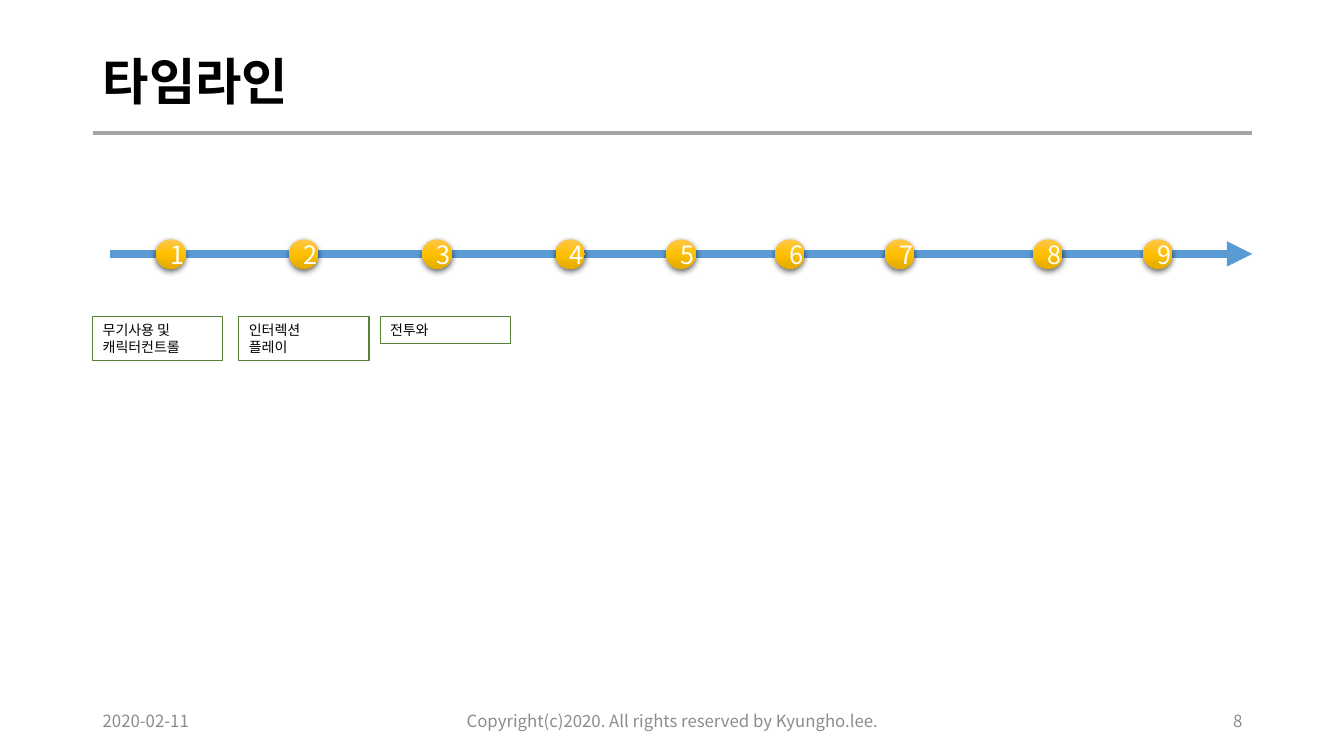
from lxml import etree
from pptx import Presentation
from pptx.dml.color import RGBColor
from pptx.enum.dml import MSO_FILL
from pptx.enum.shapes import MSO_CONNECTOR, MSO_SHAPE
from pptx.enum.text import MSO_ANCHOR, MSO_AUTO_SIZE, PP_ALIGN
from pptx.oxml.ns import qn
from pptx.util import Inches, Pt

LEFT, CENTER, RIGHT = PP_ALIGN.LEFT, PP_ALIGN.CENTER, PP_ALIGN.RIGHT
TOP, MIDDLE = MSO_ANCHOR.TOP, MSO_ANCHOR.MIDDLE
STRAIGHT = MSO_CONNECTOR.STRAIGHT
FONT = "Noto Sans CJK KR"

BLACK = RGBColor(0x00, 0x00, 0x00)
WHITE = RGBColor(0xFF, 0xFF, 0xFF)
FOOTER_GRAY = RGBColor(0x8C, 0x8C, 0x8C)
RULE_GRAY = RGBColor(0xA5, 0xA5, 0xA5)
ARROW_BLUE = RGBColor(0x5B, 0x9B, 0xD5)
BOX_GREEN = RGBColor(0x54, 0x82, 0x35)
GOLD_STOPS = [
    (0, RGBColor(0xFF, 0xC6, 0x4B)),
    (50, RGBColor(0xFF, 0xC0, 0x00)),
    (100, RGBColor(0xE3, 0xAB, 0x00)),
]

TITLE = "타임라인"
MARGIN_LEFT, MARGIN_RIGHT = 0.92, 12.42
TIMELINE_Y = 2.52
MARKER_SIZE = 0.29
MARKER_LEFTS = [1.55, 2.87, 4.19, 5.51, 6.61, 7.69, 8.78, 10.25, 11.34]
STAGE_TOP, STAGE_WIDTH = 3.14, 1.29
STAGES = [  # left, height, paragraphs
    (0.92, 0.44, ["무기사용 및 캐릭터컨트롤"]),
    (2.37, 0.44, ["인터렉션", "플레이"]),
    (3.77, 0.27, ["전투와"]),
]
FOOTERS = [  # left, width, text, alignment
    (0.92, 3, "2020-02-11", LEFT),
    (4.42, 4.5, "Copyright(c)2020. All rights reserved by Kyungho.lee.", CENTER),
    (9.42, 3, "8", RIGHT),
]


def write_text(shape, lines, size, color, align=LEFT, anchor=MIDDLE,
               bold=False, spacing=None):
    frame = shape.text_frame
    frame.word_wrap = True
    frame.vertical_anchor = anchor
    for index, line in enumerate(lines):
        para = frame.add_paragraph() if index else frame.paragraphs[0]
        para.alignment = align
        if spacing:
            para.line_spacing = spacing
        span = para.add_run()
        span.text = line
        span.font.name = FONT
        span.font.size = Pt(size)
        span.font.bold = bold
        span.font.color.rgb = color
        etree.SubElement(span.font._element, qn("a:ea"), typeface=FONT)


def add_line(page, left, y, color, width, arrow=False):
    line = page.shapes.add_connector(
        STRAIGHT, Inches(left), Inches(y), Inches(MARGIN_RIGHT), Inches(y))
    line.line.color.rgb = color
    line.line.width = Pt(width)
    if arrow:
        etree.SubElement(line.line._get_or_add_ln(), qn("a:tailEnd"), type="triangle")
    etree.SubElement(line._element.spPr, qn("a:effectLst"))


def add_color(parent, color):
    return etree.SubElement(parent, qn("a:srgbClr"), val=str(color))


def add_marker(page, left, number):
    marker = page.shapes.add_shape(
        MSO_SHAPE.OVAL, Inches(left), Inches(TIMELINE_Y - MARKER_SIZE / 2),
        Inches(MARKER_SIZE), Inches(MARKER_SIZE))
    marker.line.fill.background()
    marker.fill.gradient()
    marker.fill.gradient_angle = 270
    properties = marker._element.spPr
    stops = properties.find(".//" + qn("a:gsLst"))
    for stop in list(stops):
        stops.remove(stop)
    for percent, color in GOLD_STOPS:
        add_color(etree.SubElement(stops, qn("a:gs"), pos=str(percent * 1000)), color)

    marker.shadow.inherit = False
    shadow = etree.SubElement(
        properties.find(qn("a:effectLst")), qn("a:outerShdw"),
        blurRad=str(Pt(4.5)), dist=str(Pt(1.5)), dir="5400000",
        algn="ctr", rotWithShape="0")
    etree.SubElement(add_color(shadow, BLACK), qn("a:alpha"), val="63000")
    write_text(marker, [str(number)], 18, WHITE, align=CENTER)


def add_stage(page, left, height, lines):
    box = page.shapes.add_shape(
        MSO_SHAPE.RECTANGLE, Inches(left), Inches(STAGE_TOP),
        Inches(STAGE_WIDTH), Inches(height))
    box.shadow.inherit = False
    box.fill.background()
    box.line.color.rgb = BOX_GREEN
    box.line.width = Pt(0.75)
    write_text(box, lines, 10, BLACK, anchor=TOP)
    box.text_frame.auto_size = MSO_AUTO_SIZE.SHAPE_TO_FIT_TEXT


def main():
    deck = Presentation()
    deck.slide_width, deck.slide_height = Inches(13.33), Inches(7.5)
    page = deck.slides.add_slide(deck.slide_layouts[5])

    title = page.shapes.title
    title.left, title.top = Inches(MARGIN_LEFT), Inches(0.4)
    title.width, title.height = Inches(MARGIN_RIGHT - MARGIN_LEFT), Inches(0.87)
    write_text(title, [TITLE], 36, BLACK, bold=True, spacing=0.9)
    add_line(page, MARGIN_LEFT, 1.32, RULE_GRAY, 2.25)

    for left, width, text, align in FOOTERS:
        box = page.shapes.add_textbox(
            Inches(left), Inches(6.95), Inches(width), Inches(0.4))
        write_text(box, [text], 12, FOOTER_GRAY, align=align)

    add_line(page, 1.09, TIMELINE_Y, ARROW_BLUE, 6, arrow=True)
    for number, left in enumerate(MARKER_LEFTS, start=1):
        add_marker(page, left, number)
    for stage in STAGES:
        add_stage(page, *stage)

    deck.save("out.pptx")


if __name__ == "__main__":
    main()
